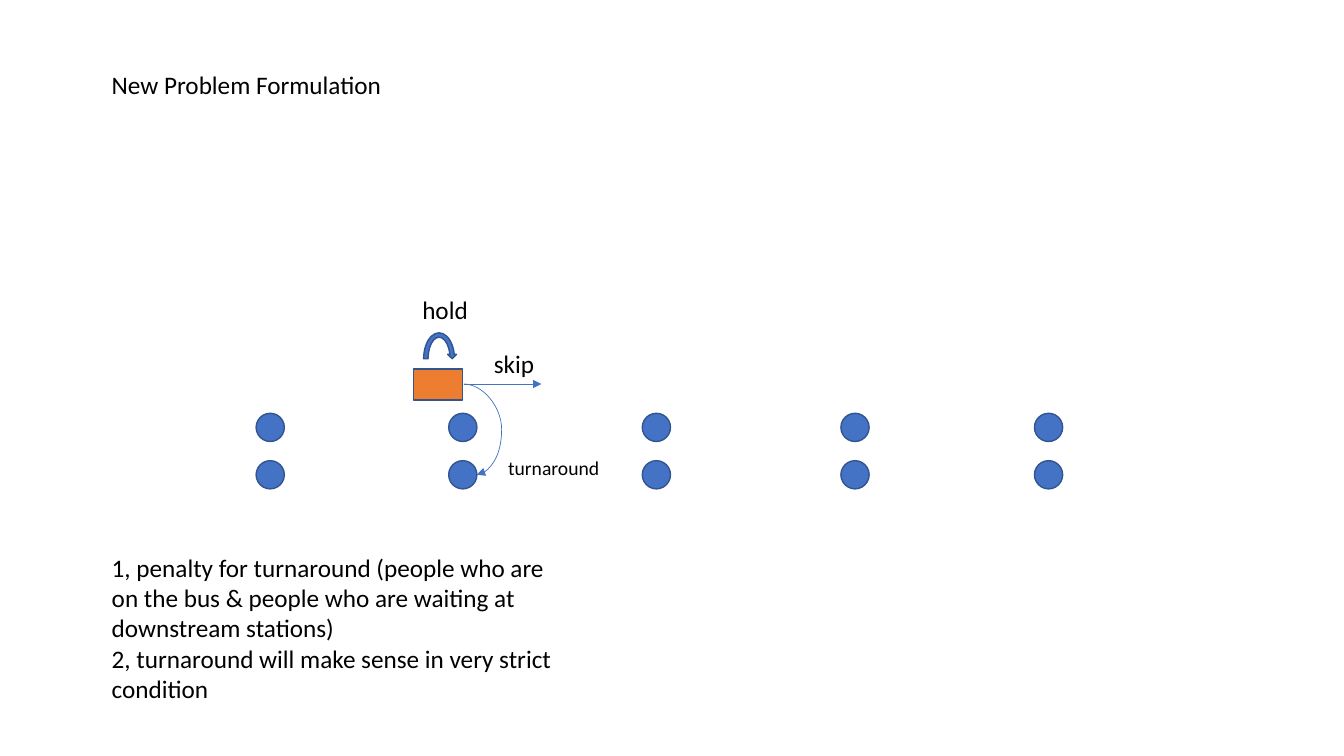
"""Build the bus holding, skipping and turnaround diagram slide."""
from itertools import product

from pptx import Presentation
from pptx.dml.color import RGBColor
from pptx.enum.shapes import MSO_CONNECTOR as Connector, MSO_SHAPE as Shape
from pptx.oxml.ns import qn
from pptx.util import Inches, Pt
from lxml.etree import SubElement

BLUE, DARK_BLUE, ORANGE, BLACK = "4472C4", "325491", "ED7D31", "000000"
STATION_COLUMNS = (2.54, 4.45, 6.37, 8.34, 10.26)
STATION_ROWS = (4.1, 4.57)
STATION_SIZE = 0.28
BUS = (4.1, 3.66, 0.49, 0.31)
HOLD_ARROW = (4.18, 3.28, 0.35, 0.56)
BUS_FRONT = (4.6, 3.81)
SKIP_END = (5.37, 3.81)
TURNAROUND_END = (4.73, 4.71)
TURNAROUND_BULGE = 289100
TEXTS = [
    ((4.94, 4.47, 1.12, 0.34), 14, False, ["turnaround"]),
    ((4.8, 3.41, 0.65, 0.4), 18, False, ["skip"]),
    ((4.09, 2.87, 0.66, 0.4), 18, False, ["hold"]),
    ((1.01, 0.64, 3.09, 0.4), 18, True, ["New Problem Formulation"]),
    ((1.01, 5.43, 4.62, 1.62), 18, True, [
        "1, penalty for turnaround (people who are on the bus & people who are "
        "waiting at downstream stations)",
        "2, turnaround will make sense in very strict condition",
    ]),
]


def paint(color_format, color):
    color_format.rgb = RGBColor.from_string(color)


def add_shape(slide, kind, box, color):
    shape = slide.shapes.add_shape(kind, *map(Inches, box))
    shape.shadow.inherit = False
    shape.fill.solid()
    paint(shape.fill.fore_color, color)
    paint(shape.line.color, DARK_BLUE)
    shape.line.width = Pt(1)


def add_arrow(slide, kind, start, end):
    arrow = slide.shapes.add_connector(kind, *map(Inches, start + end))
    paint(arrow.line.color, BLUE)
    arrow.line.width = Pt(0.5)
    properties = arrow.element.spPr
    SubElement(properties.find(qn("a:ln")), qn("a:tailEnd"), type="triangle")
    SubElement(properties, qn("a:effectLst"))
    return arrow


def add_text(slide, box, size, wrap, lines):
    frame = slide.shapes.add_textbox(*map(Inches, box)).text_frame
    frame.word_wrap = wrap
    for index, line in enumerate(lines):
        paragraph = frame.add_paragraph() if index else frame.paragraphs[0]
        run = paragraph.add_run()
        run.text = line
        run.font.name = "Calibri"
        run.font.size = Pt(size)
        paint(run.font.color, BLACK)


def main():
    presentation = Presentation()
    presentation.slide_width = Inches(13.33)
    presentation.slide_height = Inches(7.5)
    slide = presentation.slides.add_slide(presentation.slide_layouts[6])

    for top, left in product(STATION_ROWS, STATION_COLUMNS):
        add_shape(slide, Shape.OVAL, (left, top, STATION_SIZE, STATION_SIZE), BLUE)
    add_shape(slide, Shape.RECTANGLE, BUS, ORANGE)
    add_arrow(slide, Connector.STRAIGHT, BUS_FRONT, SKIP_END)
    add_shape(slide, Shape.CIRCULAR_ARROW, HOLD_ARROW, BLUE)

    turnaround = add_arrow(slide, Connector.CURVE, BUS_FRONT, TURNAROUND_END)
    geometry = turnaround.element.spPr.find(qn("a:prstGeom"))
    SubElement(geometry.find(qn("a:avLst")), qn("a:gd"),
               name="adj1", fmla=f"val {TURNAROUND_BULGE}")

    for text in TEXTS:
        add_text(slide, *text)
    presentation.save("out.pptx")


if __name__ == "__main__":
    main()
